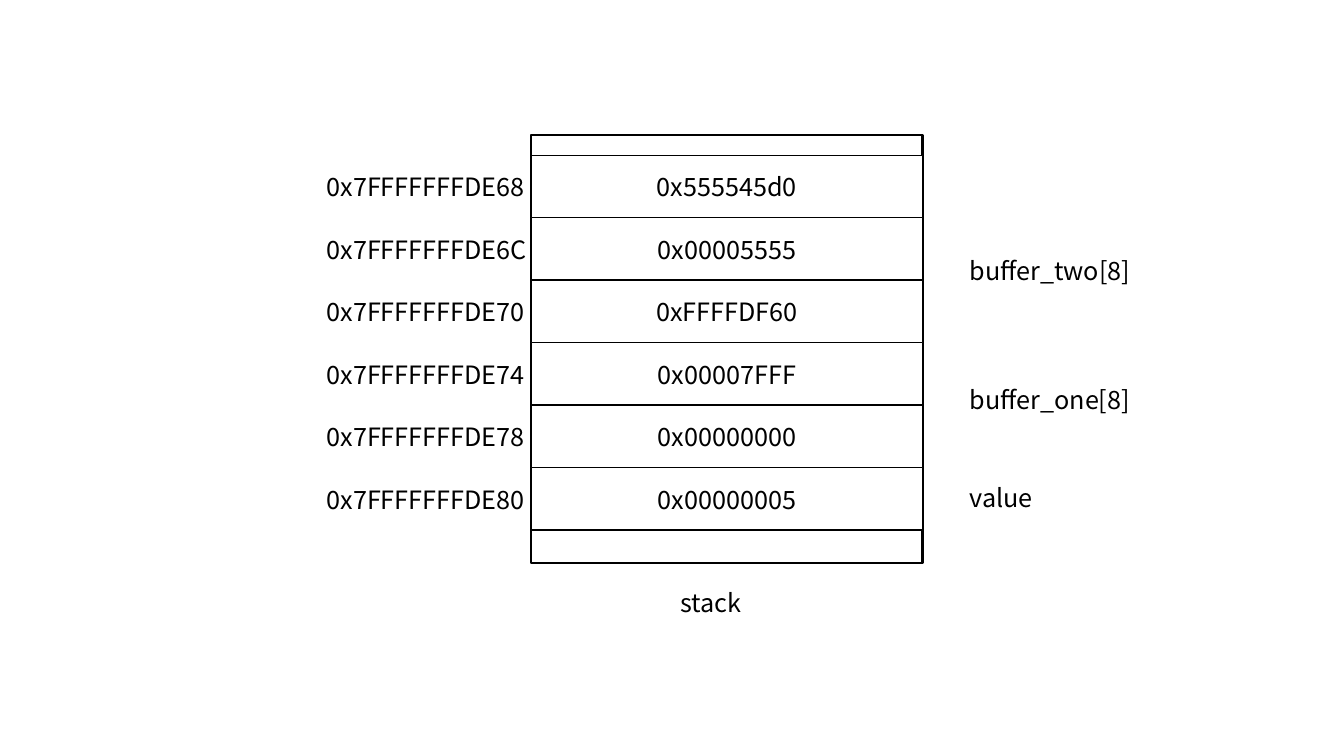
from dataclasses import dataclass

from pptx import Presentation
from pptx.dml.color import RGBColor
from pptx.enum.shapes import MSO_SHAPE as Preset
from pptx.enum.text import MSO_ANCHOR as Anchor, MSO_AUTO_SIZE as AutoSize, PP_ALIGN as Align
from pptx.shapes.autoshape import Shape
from pptx.slide import Slide
from pptx.util import Inches, Pt

BLACK = RGBColor(0x00, 0x00, 0x00)
WHITE = RGBColor(0xFF, 0xFF, 0xFF)
FONT = "Noto Sans CJK KR"

# Grid in inches: row 0 is the first stack word.
GRID_TOP, ROW_HEIGHT = 1.54, 0.62
ADDRESS_LEFT, STACK_LEFT, CAPTION_LEFT, VARIABLE_LEFT = 3.14, 5.27, 6.65, 9.52
STACK_WIDTH, LABEL_WIDTH, LABEL_HEIGHT = 3.88, 2.35, 0.4
ADDRESS_SHIFT = 0.18  # in rows, below the top of the word
SPACE_ABOVE, SPACE_BELOW = 0.32, 0.52  # in rows, between the words and the frame


@dataclass(frozen=True)
class Word:
    address: str
    content: str


@dataclass(frozen=True)
class Label:
    text: str
    left: float
    row: float


WORDS = [
    Word("0x7FFFFFFFDE68", "0x555545d0"),
    Word("0x7FFFFFFFDE6C", "0x00005555"),
    Word("0x7FFFFFFFDE70", "0xFFFFDF60"),
    Word("0x7FFFFFFFDE74", "0x00007FFF"),
    Word("0x7FFFFFFFDE78", "0x00000000"),
    Word("0x7FFFFFFFDE80", "0x00000005"),
]
LABELS = [
    Label("value", VARIABLE_LEFT, 5.15),
    Label("buffer_one[8]", VARIABLE_LEFT, 3.58),
    Label("buffer_two[8]", VARIABLE_LEFT, 1.52),
    Label("stack", CAPTION_LEFT, 6.84),
]


def row_top(row: float) -> Inches:
    return Inches(GRID_TOP + row * ROW_HEIGHT)


def write_text(shape: Shape, text: str, *, align: Align = Align.LEFT,
               anchor: Anchor = Anchor.TOP, size: float = 18) -> None:
    frame = shape.text_frame
    frame.word_wrap = True
    frame.vertical_anchor = anchor
    paragraph = frame.paragraphs[0]
    paragraph.alignment = align
    run = paragraph.add_run()
    run.text = text
    run.font.name = FONT
    run.font.size = Pt(size)
    run.font.color.rgb = BLACK


def add_stack_box(slide: Slide, row: float, rows: float, line_width: float,
                  fill: RGBColor | None = None) -> Shape:
    """Draw a box as wide as the stack, spanning the given rows."""
    box = slide.shapes.add_shape(Preset.RECTANGLE, Inches(STACK_LEFT), row_top(row),
                                 Inches(STACK_WIDTH), Inches(rows * ROW_HEIGHT))
    box.shadow.inherit = False
    if fill is None:
        box.fill.background()
    else:
        box.fill.solid()
        box.fill.fore_color.rgb = fill
    box.line.color.rgb = BLACK
    box.line.width = Pt(line_width)
    return box


def add_label(slide: Slide, label: Label) -> None:
    box = slide.shapes.add_textbox(Inches(label.left), row_top(label.row),
                                   Inches(LABEL_WIDTH), Inches(LABEL_HEIGHT))
    write_text(box, label.text)
    box.text_frame.auto_size = AutoSize.SHAPE_TO_FIT_TEXT


def main() -> None:
    presentation = Presentation()
    presentation.slide_width, presentation.slide_height = Inches(13.33), Inches(7.5)
    slide = presentation.slides.add_slide(presentation.slide_layouts[6])

    add_stack_box(slide, -SPACE_ABOVE, SPACE_ABOVE + len(WORDS) + SPACE_BELOW, 1.5)
    rows_upwards = list(reversed(list(enumerate(WORDS))))
    for row, word in rows_upwards:
        cell = add_stack_box(slide, row, 1, 1, WHITE)
        write_text(cell, word.content, align=Align.CENTER, anchor=Anchor.MIDDLE)
    addresses = [Label(word.address, ADDRESS_LEFT, row + ADDRESS_SHIFT)
                 for row, word in rows_upwards]
    for label in addresses + LABELS:
        add_label(slide, label)

    presentation.save("out.pptx")


if __name__ == "__main__":
    main()
